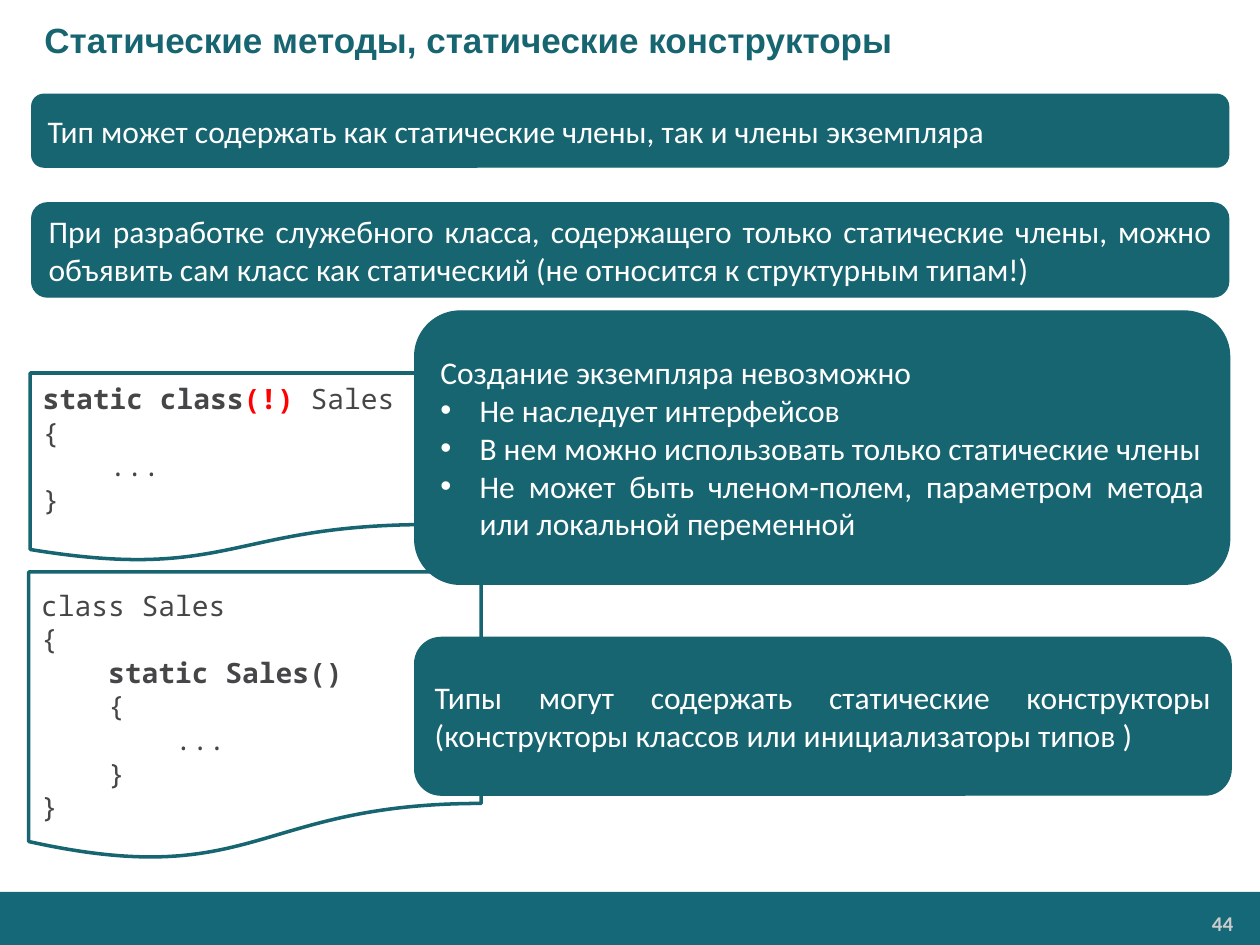
"""Build the slide on static classes and static constructors."""
from dataclasses import dataclass

from lxml import etree
from pptx import Presentation
from pptx.dml.color import RGBColor
from pptx.enum.shapes import MSO_SHAPE
from pptx.enum.text import MSO_ANCHOR, MSO_AUTO_SIZE, PP_ALIGN
from pptx.oxml.ns import qn
from pptx.util import Cm, Pt

RECT, ROUND, PAGE = MSO_SHAPE.RECTANGLE, MSO_SHAPE.ROUNDED_RECTANGLE, MSO_SHAPE.FLOWCHART_DOCUMENT
MIDDLE, TOP, NO_FIT = MSO_ANCHOR.MIDDLE, MSO_ANCHOR.TOP, MSO_AUTO_SIZE.NONE
LEFT, RIGHT, JUSTIFY = PP_ALIGN.LEFT, PP_ALIGN.RIGHT, PP_ALIGN.JUSTIFY


@dataclass(frozen=True)
class Theme:
    """Colours, fonts and type sizes of the slide."""
    teal: str = "176571"
    band: str = "146878"
    white: str = "FFFFFF"
    ink: str = "464547"
    alert: str = "FF0000"
    pale: str = "CCCCCC"
    head: str = "Arial"
    body: str = "Calibri"
    mono: str = "Noto Sans Mono"
    title: int = 20
    text: int = 18
    code: int = 16
    small: int = 12


class Deck:
    """Hold the theme and the current slide, and add each kind of element."""

    def __init__(self, theme):
        """Open a show with one title-only slide."""
        self.theme = theme
        self.show = Presentation()
        self.show.slide_width, self.show.slide_height = Cm(25.4), Cm(19.05)
        self.slide = self.show.slides.add_slide(self.show.slide_layouts[5])

    def font(self, font, name, size, color, bold=False):
        """Set the look of a font."""
        font.name, font.size, font.bold = name, Pt(size), bold
        font.color.rgb = RGBColor.from_string(color)

    def indent(self, para, left, first=0):
        """Set the left margin and first-line indent of a paragraph."""
        props = para._p.get_or_add_pPr()
        props.set("marL", str(Cm(left)))
        props.set("indent", str(Cm(first)))
        return props

    def shape(self, kind, area, fill, line=None, width=0.75):
        """Add a filled preset shape."""
        shape = self.slide.shapes.add_shape(kind, *map(Cm, area))
        shape.shadow.inherit = False
        shape.fill.solid()
        shape.fill.fore_color.rgb = RGBColor.from_string(fill)
        if line:
            shape.line.color.rgb = RGBColor.from_string(line)
            shape.line.width = Pt(width)
        else:
            shape.line.fill.background()
        return shape

    def paras(self, frame, count, anchor=MIDDLE):
        """Prepare a text frame and return its paragraphs."""
        frame.word_wrap, frame.vertical_anchor = True, anchor
        for _ in range(count - 1):
            frame.add_paragraph()
        return frame.paragraphs

    def title(self, text):
        """Fill and place the title."""
        look, title = self.theme, self.slide.shapes.title
        title.left, title.top, title.width, title.height = map(Cm, (0, 0, 25.4, 1.6))
        frame = title.text_frame
        frame.auto_size = NO_FIT
        para = self.paras(frame, 1)[0]
        para.text, para.alignment = text, LEFT
        self.indent(para, 0.64)
        self.font(para.font, look.head, look.title, look.teal, True)

    def footer(self, number):
        """Add the bottom band with the page number."""
        look = self.theme
        self.shape(RECT, (0, 17.98, 25.4, 1.07), look.band)
        box = self.slide.shapes.add_textbox(*map(Cm, (20.9, 18.26, 4.14, 0.71)))
        frame = box.text_frame
        frame.margin_left = frame.margin_right = Cm(0.18)
        frame.margin_top = frame.margin_bottom = Cm(0.1)
        para = self.paras(frame, 1, TOP)[0]
        para.text, para.alignment = number, RIGHT
        self.font(para.font, look.body, look.small, look.pale, True)

    def note(self, area, lead, points=()):
        """Add a rounded note with a lead line and bullet points."""
        look = self.theme
        shape = self.shape(ROUND, area, look.teal, look.teal)
        lines = (lead, *points)
        for place, para in enumerate(self.paras(shape.text_frame, len(lines))):
            para.text, para.alignment = lines[place], JUSTIFY
            if place:
                props = self.indent(para, 0.79, -0.79)
                etree.SubElement(props, qn("a:buFont")).set("typeface", look.head)
                etree.SubElement(props, qn("a:buChar")).set("char", "•")
            self.font(para.font, look.body, look.text, look.white)

    def code(self, area, lines, drop=0):
        """Add a page of code; each line is a list of (text, colour, bold)."""
        look = self.theme
        shape = self.shape(PAGE, area, look.white, look.teal, 2)
        shape.text_frame.margin_top = Cm(0.13 + drop)
        for para, parts in zip(self.paras(shape.text_frame, len(lines)), lines):
            para.alignment = LEFT
            for text, color, bold in parts:
                run = para.add_run()
                run.text = text
                self.font(run.font, look.mono, look.code, color, bold)


def main():
    """Build and save the slide."""
    look = Theme()
    deck = Deck(look)

    def plain(text):
        """Return a code line in one plain part."""
        return [(text, look.ink, False)]

    deck.footer("44")
    deck.title("Статические методы, статические конструкторы")
    deck.note((0.64, 1.9, 24.13, 1.47),
              "Тип может содержать как статические члены, так и члены экземпляра")
    deck.note((0.64, 4.09, 24.13, 1.9),
              "При разработке служебного класса, содержащего только статические члены, "
              "можно объявить сам класс как статический (не относится к структурным типам!)")
    deck.code((0.61, 7.52, 8.05, 3.81), [
        [("static class", look.ink, True), ("(!) ", look.alert, True), ("Sales", look.ink, False)],
        *map(plain, ("{", "    ...", "}")),
    ])
    deck.code((0.58, 11.53, 9.12, 5.82), [
        *map(plain, ("class Sales", "{")),
        [("    ", look.ink, False), ("static Sales()", look.ink, True)],
        *map(plain, ("    {", "        ...", "    }", "}")),
    ], drop=0.72)
    deck.note((8.36, 6.27, 16.43, 5.51), "Создание экземпляра невозможно", (
        "Не наследует интерфейсов",
        "В нем можно использовать только статические члены",
        "Не может быть членом-полем, параметром метода или локальной переменной",
    ))
    deck.note((8.36, 12.85, 16.46, 3.18),
              "Типы могут содержать статические конструкторы "
              "(конструкторы классов или инициализаторы типов )")
    deck.show.save("out.pptx")


if __name__ == "__main__":
    main()
